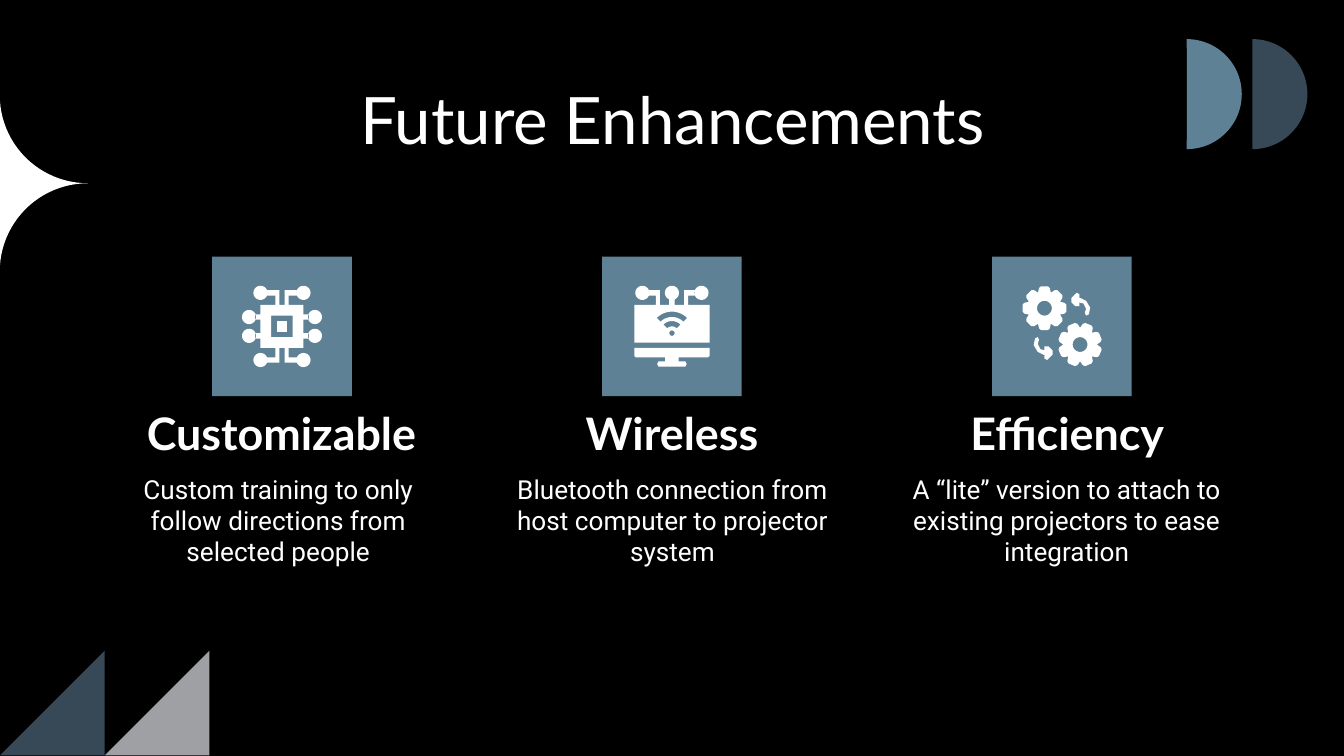
import math

import pptx
import pptx.dml.color
import pptx.enum.shapes
import pptx.enum.text
import pptx.util

Cm = pptx.util.Cm
SHAPE = pptx.enum.shapes.MSO_SHAPE
ANCHOR = pptx.enum.text.MSO_ANCHOR

BLACK, WHITE = "000000", "FFFFFF"
STEEL, SLATE, GREY = "5F8195", "374957", "9FA0A4"
ICON_UNIT = 0.0254
NODE_RADIUS = 5.25

COLUMNS = [
    ("Customizable", 1.83, 6.98,
     "Custom training to only follow directions from selected people"),
    ("Wireless", 9.45, 6.5,
     "Bluetooth connection from host computer to projector system"),
    ("Efficiency", 16.92, 6.5,
     "A “lite” version to attach to existing projectors to ease integration"),
]


def rgb(value):
    """Turn a hex string into a colour."""
    return pptx.dml.color.RGBColor.from_string(value)


def paint(sp, color):
    """Give a shape a flat fill with no line or shadow."""
    sp.shadow.inherit = False
    sp.fill.solid()
    sp.fill.fore_color.rgb = rgb(color)
    sp.line.fill.background()


def add_block(s, kind, left, top, size, color):
    """Add a square preset shape in one colour."""
    sp = s.shapes.add_shape(kind, Cm(left), Cm(top), Cm(size), Cm(size))
    paint(sp, color)
    return sp


def write(sp, text, size, font, bold=False, anchor=ANCHOR.TOP):
    """Fill a text shape with one centred white paragraph."""
    tf = sp.text_frame
    tf.word_wrap = True
    tf.auto_size = pptx.enum.text.MSO_AUTO_SIZE.NONE
    tf.vertical_anchor = anchor
    tf.margin_left = tf.margin_right = Cm(0.25)
    tf.margin_top = tf.margin_bottom = Cm(0.25)
    tf.text = text
    p = tf.paragraphs[0]
    p.alignment = pptx.enum.text.PP_ALIGN.CENTER
    f = p.runs[0].font
    f.size, f.name, f.bold = pptx.util.Pt(size), font, bold
    f.color.rgb = rgb(WHITE)


def add_title(s, text):
    """Place and format the title."""
    sp = s.shapes.title
    sp.left, sp.top, sp.width, sp.height = Cm(2.01), Cm(1.24), Cm(21.41), Cm(1.6)
    write(sp, text, 35, "Lato")


def add_text(s, left, top, width, height, *args, **kwargs):
    """Add a text box and write in it."""
    sp = s.shapes.add_textbox(Cm(left), Cm(top), Cm(width), Cm(height))
    write(sp, *args, **kwargs)


def arc(x, y, radius, start, end, steps=16):
    """Return points along an arc, with angles clockwise from the top."""
    angles = [math.radians(start + (end - start) * i / steps) for i in range(steps + 1)]
    return [(x + radius * math.sin(a), y - radius * math.cos(a)) for a in angles]


def circle(x, y, radius=NODE_RADIUS):
    """Return the outline of a circle."""
    return arc(x, y, radius, 0, 360, 32)


def box(left, top, right, bottom):
    """Return the outline of a rectangle."""
    return [(left, top), (right, top), (right, bottom), (left, bottom)]


def mirror(points, sx, sy):
    """Scale points by a sign on each axis."""
    return [(x * sx, y * sy) for x, y in points]


def trace(left, right):
    """Return a bent circuit trace that runs right and then down."""
    return [(left, -27), (right, -27), (right, -16),
            (right - 3, -16), (right - 3, -23), (left, -23)]


def gear(x, y, turn):
    """Return the outline of a gear with eight teeth."""
    profile = [(-15, 15.5), (-9, 16.5), (9, 16.5), (15, 15.5), (22.5, 12.5)]
    return [arc(x, y, radius, turn + 45 * i + offset, 0)[0]
            for i in range(8) for offset, radius in profile]


def wave(radius):
    """Return one curved band of the wireless signal."""
    return arc(0, 5, radius, -45, 45) + arc(0, 5, radius - 4, 45, -45)


def add_outline(s, cx, cy, *contours):
    """Draw closed contours as one white freeform around a centre."""
    placed = [[(Cm(cx + x * ICON_UNIT), Cm(cy + y * ICON_UNIT)) for x, y in c]
              for c in contours]
    builder = s.shapes.build_freeform(*placed[0][0])
    for i, points in enumerate(placed):
        if i:
            builder.move_to(*points[0])
        builder.add_line_segments(points[1:], close=True)
    paint(builder.convert_to_shape(), WHITE)


def add_chip(s, cx, cy):
    """Draw the circuit chip icon."""
    contours = [box(-16, -16, 16, 16), box(-8, -8, 8, 8)]
    for sx in (-1, 1):
        for sy in (-1, 1):
            contours += [circle(16 * sx, 25 * sy), circle(24.5 * sx, 7 * sy),
                         mirror(trace(-11, -2), -sx, -sy),
                         mirror(box(16, 5, 20, 9), sx, sy)]
    add_outline(s, cx, cy, box(-4, -4, 4, 4))
    add_outline(s, cx, cy, *contours)


def add_monitor(s, cx, cy):
    """Draw the wireless monitor icon."""
    nodes = [circle(x, -25) for x in (-22, 0, 22)]
    traces = [mirror(trace(-17, -9), sx, 1) for sx in (1, -1)]
    add_outline(s, cx, cy, box(-28, -16, 28, 12), wave(16), wave(9), circle(0, 5, 2),
                box(-2, -20, 2, -16), *nodes, *traces)
    half = [(-28, 16), (-28, 22), (-27, 23), (-5, 23), (-5, 26), (-10, 26),
            (-11, 28), (-10, 30)]
    add_outline(s, cx, cy, half + mirror(half[::-1], -1, 1))


def add_gears(s, cx, cy):
    """Draw the two gears with their turning arrows."""
    for x, y, turn in ((-13, -13.5, 0), (13.5, 13.5, 22.5)):
        add_outline(s, cx, cy, gear(x, y, turn), circle(x, y, 5.5))
    arrow = [(11, -25), (7, -21), (7, -18), (10, -15), (13, -15), (13, -18),
             (12, -18), (16, -17), (18, -13), (17, -10), (18, -8), (20, -9),
             (21, -14), (18, -19), (12, -22), (13, -22), (13, -24)]
    for sign in (1, -1):
        add_outline(s, cx, cy, mirror(arrow, sign, sign))


def add_decoration(s):
    """Draw the corner and edge ornaments."""
    plaque = add_block(s, SHAPE.PLAQUE, -1.67, 1.8, 3.33, WHITE)
    plaque.adjustments[0] = 0.5
    for left, color in ((1.98, GREY), (0, SLATE)):
        add_block(s, SHAPE.RIGHT_TRIANGLE, left, 12.3, 1.98, color).rotation = 270
    for left, color in ((22.63, SLATE), (21.39, STEEL)):
        pie = add_block(s, SHAPE.PIE, left, 0.74, 2.08, color)
        pie.adjustments[0], pie.adjustments[1] = 162, 54


def main():
    """Build the slide and save it."""
    prs = pptx.Presentation()
    prs.slide_width, prs.slide_height = Cm(25.4), Cm(14.29)
    s = prs.slides.add_slide(prs.slide_layouts[5])
    s.background.fill.solid()
    s.background.fill.fore_color.rgb = rgb(BLACK)
    add_title(s, "Future Enhancements")
    add_decoration(s)
    icons = (add_chip, add_monitor, add_gears)
    for i, (heading, left, width, body) in enumerate(COLUMNS):
        add_text(s, left, 6.96, width, 1.98, heading, 24, "Lato",
                 bold=True, anchor=ANCHOR.BOTTOM)
        add_text(s, 2.01 + 7.45 * i, 8.69, 6.5, 2.26, body, 14, "Roboto")
        cx, cy, size = 5.33 + 7.37 * i, 6.17, 2.64
        add_block(s, SHAPE.RECTANGLE, cx - size / 2, cy - size / 2, size, STEEL)
        icons[i](s, cx, cy)
    prs.save("out.pptx")


if __name__ == "__main__":
    main()
